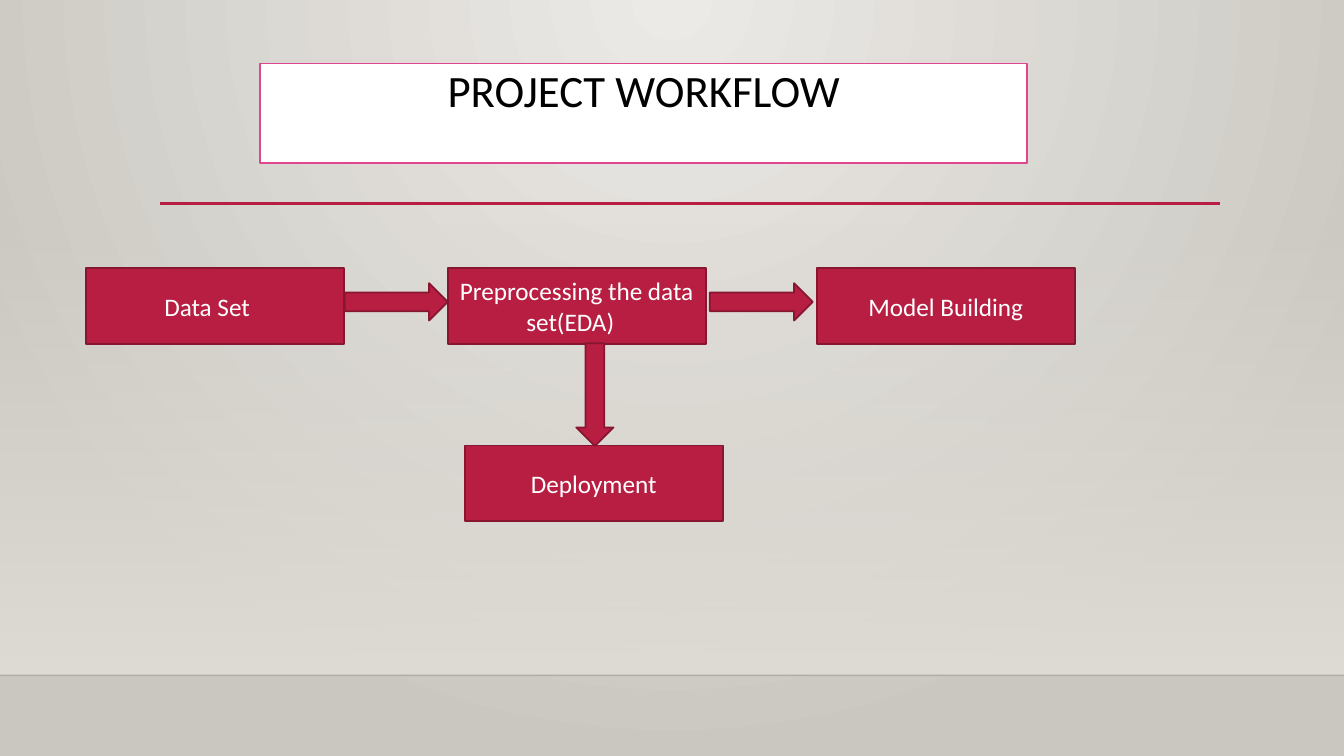
from dataclasses import dataclass

from lxml import etree
from pptx import Presentation
from pptx.dml.color import RGBColor
from pptx.enum import shapes, text
from pptx.oxml import ns
from pptx.util import Inches, Pt


@dataclass(frozen=True)
class Theme:
    font: str = "Calibri"
    head: int = 32
    body: int = 18
    red: str = "B71E42"
    edge: str = "871631"
    pink: str = "DE478E"
    white: str = "FFFFFF"
    black: str = "000000"
    rule: str = "000001"
    glow: str = "ECEAE7"
    shade: str = "CAC7C1"
    wall: str = "DFDBD5"
    thin: float = 1
    line: float = 1.25
    thick: float = 2.5


THEME = Theme()
KIND = shapes.MSO_SHAPE
WIDE, HIGH = 13.33, 7.5
FLOOR = 6.7
BOX_W, BOX_H = 2.56, 0.75
ROW_Y = 2.66
STEPS = [
    ("Data Set\t", 0.85, ROW_Y),
    ("Preprocessing the data set(EDA)\t", 4.44, ROW_Y),
    ("Model Building", 8.1, ROW_Y),
    ("Deployment", 4.61, 4.42),
]
ARROWS = [(3.42, 2.81, 0), (7.04, 2.81, 0), (5.39, 3.73, 90)]


def rgb(code):
    return RGBColor.from_string(code)


def assign(item, values):
    for name, value in values.items():
        setattr(item, name, value)


def fade(color, percent):
    """Set the opacity of a solid colour element."""
    etree.SubElement(color, ns.qn("a:alpha"), val=str(percent * 1000))


def blend(fill, grad, start, end):
    """Give a two-stop gradient its colours and return its colour elements."""
    for stop, code in zip(fill.gradient_stops, (start, end)):
        stop.color.rgb = rgb(code)
    return grad.findall(".//" + ns.qn("a:srgbClr"))


def add_back(slide):
    """Light spreads from the middle of the top edge."""
    fill = slide.background.fill
    fill.gradient()
    grad = slide._element.xpath(".//p:bg//a:gradFill")[0]
    blend(fill, grad, THEME.glow, THEME.shade)
    grad.remove(grad.find(ns.qn("a:lin")))
    ring = etree.SubElement(grad, ns.qn("a:path"), path="circle")
    etree.SubElement(ring, ns.qn("a:fillToRect"),
                     l="43000", t="0", r="43000", b="100000")


def add_form(slide, kind, left, top, width, height):
    form = slide.shapes.add_shape(
        kind, Inches(left), Inches(top), Inches(width), Inches(height))
    form.shadow.inherit = False
    return form


def paint(form, fill, edge):
    form.fill.solid()
    form.fill.fore_color.rgb = rgb(fill)
    form.line.color.rgb = rgb(edge)
    form.line.width = Pt(THEME.line)


def add_wall(slide):
    """The wall tint grows from clear to solid towards the floor."""
    top = 2.21
    wall = add_form(slide, KIND.RECTANGLE, 0, top, WIDE, FLOOR - top)
    wall.line.fill.background()
    wall.fill.gradient()
    wall.fill.gradient_angle = 270
    grad = wall._element.xpath("./p:spPr/a:gradFill")[0]
    clear, _ = blend(wall.fill, grad, THEME.wall, THEME.wall)
    fade(clear, 0)


def add_rule(slide, left, right, top, code, width):
    rule = slide.shapes.add_connector(
        shapes.MSO_CONNECTOR.STRAIGHT,
        Inches(left), Inches(top), Inches(right), Inches(top))
    rule.line.color.rgb = rgb(code)
    rule.line.width = Pt(width)
    etree.SubElement(rule._element.spPr, ns.qn("a:effectLst"))
    return rule


def write(form, words, size, code, anchor, spacing=1.0):
    frame = form.text_frame
    assign(frame, {"word_wrap": True, "vertical_anchor": anchor, "text": words})
    para = frame.paragraphs[0]
    assign(para, {"alignment": text.PP_ALIGN.CENTER, "line_spacing": spacing})
    font = para.runs[0].font
    assign(font, {"name": THEME.font, "size": Pt(size)})
    font.color.rgb = rgb(code)


def add_title(slide, words):
    title = add_form(slide, KIND.RECTANGLE, 2.58, 0.63, 7.61, 0.99)
    paint(title, THEME.white, THEME.pink)
    write(title, words, THEME.head, THEME.black, text.MSO_ANCHOR.TOP, 0.9)


def add_step(slide, words, left, top):
    step = add_form(slide, KIND.RECTANGLE, left, top, BOX_W, BOX_H)
    paint(step, THEME.red, THEME.edge)
    write(step, words, THEME.body, THEME.white, text.MSO_ANCHOR.MIDDLE)


def add_arrow(slide, left, top, turn):
    arrow = add_form(slide, KIND.RIGHT_ARROW, left, top, 1.02, 0.37)
    paint(arrow, THEME.red, THEME.edge)
    arrow.rotation = turn


def main():
    deck = Presentation()
    assign(deck, {"slide_width": Inches(WIDE), "slide_height": Inches(HIGH)})
    slide = deck.slides.add_slide(deck.slide_layouts[6])
    add_back(slide)
    add_wall(slide)
    edge = add_rule(slide, 0, WIDE, FLOOR, THEME.rule, THEME.thin)
    fade(edge._element.xpath("./p:spPr/a:ln//a:srgbClr")[0], 20)
    add_rule(slide, 1.59, 12.1, 2.02, THEME.red, THEME.thick)
    add_title(slide, "PROJECT WORKFLOW")
    for step in STEPS:
        add_step(slide, *step)
    for arrow in ARROWS:
        add_arrow(slide, *arrow)
    deck.save("out.pptx")


if __name__ == "__main__":
    main()
